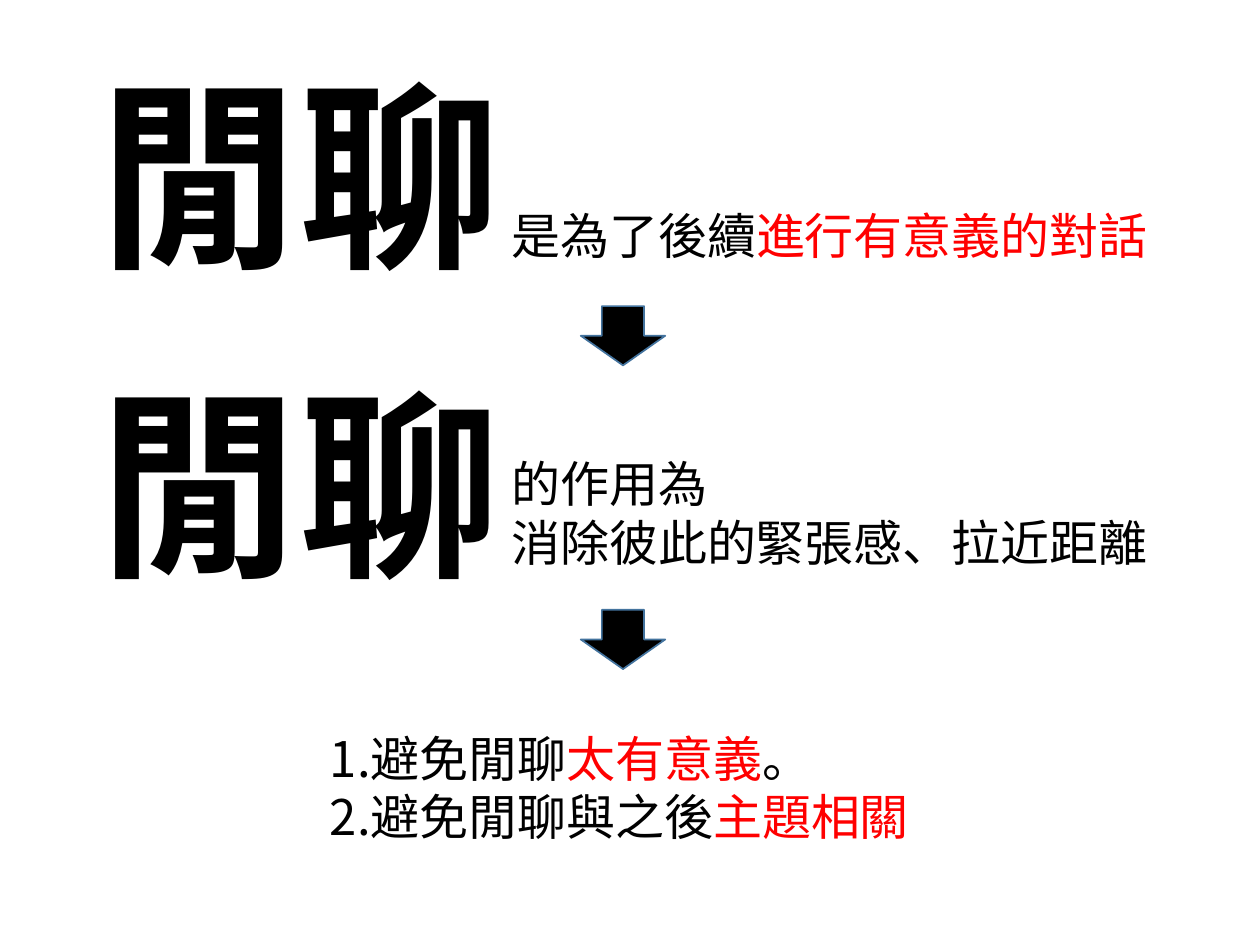
import pptx
import pptx.util
import pptx.dml.color
import pptx.enum.shapes
import pptx.enum.text
import lxml.etree

COLORS = {"ink": "000000", "accent": "FF0000", "edge": "43739E"}
FONT = "Noto Sans CJK SC"


class Deck:
    """Style and current slide, on a grid of 100 columns by 75 rows."""

    def __init__(self):
        self.prs = pptx.Presentation()
        self.prs.slide_width = pptx.util.Inches(10)
        self.prs.slide_height = pptx.util.Inches(7.5)
        self.slide = self.prs.slides.add_slide(self.prs.slide_layouts[6])

    def grid(self, *cells):
        return [round(self.prs.slide_width * cell / 100) for cell in cells]

    def color(self, name):
        return pptx.dml.color.RGBColor.from_string(COLORS[name])

    def text(self, box, lines, size=28, bold=False):
        """Each line is a list of (words, color) pairs."""
        frame = self.slide.shapes.add_textbox(*self.grid(*box)).text_frame
        frame.word_wrap = True
        frame.auto_size = pptx.enum.text.MSO_AUTO_SIZE.SHAPE_TO_FIT_TEXT
        frame.text = "\n".join("".join(words for words, _ in line) for line in lines)
        for para, line in zip(frame.paragraphs, lines):
            para.text = ""
            for words, color in line:
                run = para.add_run()
                run.text = words
                self.style(run, size, bold, color)

    def style(self, run, size, bold, color):
        font = run.font
        font.size = pptx.util.Pt(size)
        font.bold = bold
        font.color.rgb = self.color(color)
        font.name = FONT
        # East Asian glyphs take their own typeface entry
        latin = run._r.rPr.find("{*}latin")
        east = lxml.etree.QName(latin).namespace
        latin.addnext(latin.makeelement("{%s}ea" % east, {"typeface": FONT}))

    def arrow(self, left, top, width=6.7, height=4.7):
        kind = pptx.enum.shapes.MSO_SHAPE.DOWN_ARROW
        shape = self.slide.shapes.add_shape(kind, *self.grid(left, top, width, height))
        shape.shadow.inherit = False
        shape.fill.solid()
        shape.fill.fore_color.rgb = self.color("ink")
        shape.line.color.rgb = self.color("edge")
        shape.line.width = pptx.util.Pt(1)


deck = Deck()

# Two large headwords, each followed by an arrow
for word_top, arrow_top in ((3.6, 24.3), (28.1, 48.4)):
    deck.text((6.8, word_top, 42.6, 20.4), [[("閒聊", "ink")]], size=115, bold=True)
    deck.arrow(46.1, arrow_top)

# Purpose
deck.text((39.6, 15.8, 53.1, 5.7),
          [[("是為了後續", "ink"), ("進行有意義的對話", "accent")]])

# Effect
deck.text((39.6, 35.5, 57.5, 10.4),
          [[("的作用為", "ink")], [("消除彼此的緊張感、拉近距離", "ink")]])

# Things to avoid
deck.text((25.2, 57.3, 48.4, 10.4),
          [[("1.避免閒聊", "ink"), ("太有意義", "accent"), ("。", "ink")],
           [("2.避免閒聊與之後", "ink"), ("主題相關", "accent")]])

deck.prs.save("out.pptx")
